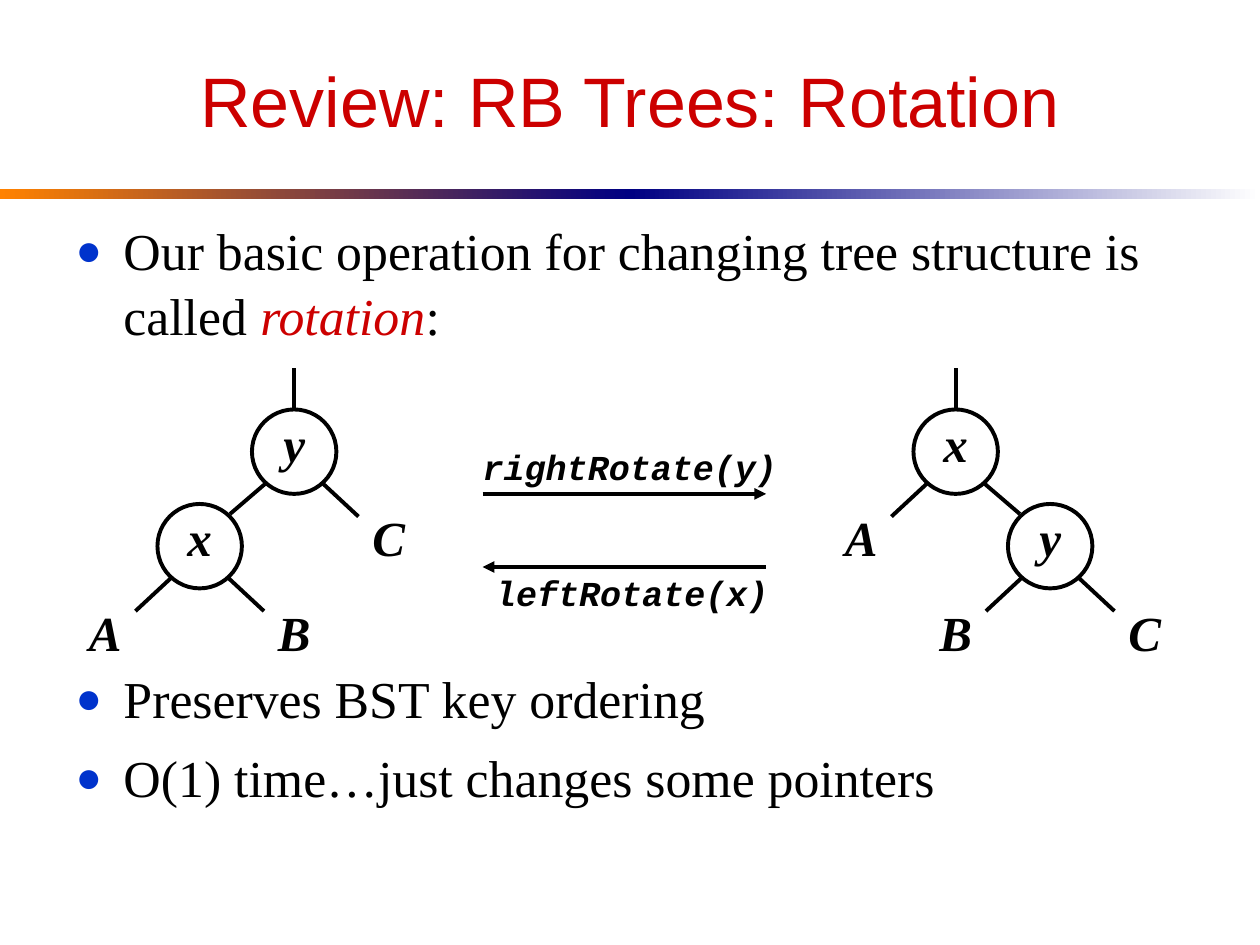
import pptx
import pptx.util
import pptx.dml.color
import pptx.enum.shapes
import pptx.enum.text
from lxml import etree
from pptx.util import Inches, Pt

SERIF = "Times New Roman"
BLACK, RED, BLUE = "000000", "CC0000", "0033CC"
NODE, STEP = 0.67, 0.75
CENTER = pptx.enum.text.PP_ALIGN.CENTER
MIDDLE = pptx.enum.text.MSO_ANCHOR.MIDDLE
STRAIGHT = pptx.enum.shapes.MSO_CONNECTOR.STRAIGHT


def rgb(color):
    return pptx.dml.color.RGBColor.from_string(color)


def add_run(paragraph, text, size, font, color=BLACK, bold=False, italic=False):
    run = paragraph.add_run()
    run.text = text
    run.font.size = Pt(size)
    run.font.name = font
    run.font.color.rgb = rgb(color)
    run.font.bold = bold
    run.font.italic = italic


prs = pptx.Presentation()
prs.slide_width, prs.slide_height = Inches(10), Inches(7.5)
slide = prs.slides.add_slide(prs.slide_layouts[1])
shapes = slide.shapes

# Two-part gradient rule under the title
for left, start, end in [(0, "FF8200", "000082"), (5, "000082", "FFFFFF")]:
    rule = shapes.add_shape(pptx.enum.shapes.MSO_SHAPE.RECTANGLE,
                            Inches(left), Inches(1.5), Inches(5), Inches(0.08))
    rule.shadow.inherit = False
    rule.line.fill.background()
    rule.fill.gradient()
    rule.fill.gradient_angle = 0
    for stop, color in zip(rule.fill.gradient_stops, (start, end)):
        stop.color.rgb = rgb(color)

title = shapes.title
title.left, title.top, title.width, title.height = map(Inches, (0.5, 0.25, 9, 1.08))
title.text_frame.auto_size = pptx.enum.text.MSO_AUTO_SIZE.NONE
title.text_frame.vertical_anchor = MIDDLE
heading = title.text_frame.paragraphs[0]
heading.alignment = CENTER
add_run(heading, "Review: RB Trees: Rotation", 40, "Arial", RED)

# Bullets; the second one leaves room above it for the trees
body = shapes.placeholders[1]
body.left, body.top, body.width, body.height = map(Inches, (0.5, 1.67, 9, 4.75))
body.text_frame.auto_size = pptx.enum.text.MSO_AUTO_SIZE.NONE
bullets = [
    (8, [("Our basic operation for changing tree structure is called ", False),
         ("rotation", True), (":", False)]),
    (182, [("Preserves BST key ordering", False)]),
    (8, [("O(1) time…just changes some pointers", False)]),
]
for i, (space, parts) in enumerate(bullets):
    bullet = body.text_frame.paragraphs[0] if i == 0 else body.text_frame.add_paragraph()
    bullet.space_before = Pt(space)
    bullet.line_spacing = 1.04
    for text, is_term in parts:
        add_run(bullet, text, 29.6, SERIF, RED if is_term else BLACK, italic=is_term)
    props = bullet._p.get_or_add_pPr()
    props.set("marL", str(Inches(0.38)))
    props.set("indent", str(-Inches(0.38)))
    marker_color = etree.SubElement(props, pptx.oxml.ns.qn("a:buClr"))
    etree.SubElement(marker_color, pptx.oxml.ns.qn("a:srgbClr"), val=BLUE)
    etree.SubElement(props, pptx.oxml.ns.qn("a:buSzPct"), val="85000")
    etree.SubElement(props, pptx.oxml.ns.qn("a:buChar"), char="●")

# Each node: label, column and row from the root, indexes of its children
trees = [
    (2, [("y", 0, 0, (1, 2)), ("x", -1, 1, (3, 4)), ("C", 1, 1, ()),
         ("A", -2, 2, ()), ("B", 0, 2, ())]),
    (7.25, [("x", 0, 0, (1, 2)), ("A", -1, 1, ()), ("y", 1, 1, (3, 4)),
            ("B", 0, 2, ()), ("C", 2, 2, ())]),
]
lines = []
for root_left, nodes in trees:
    for label, column, row, children in nodes:
        left, top = root_left + column * STEP, 3.25 + row * STEP
        node = shapes.add_shape(pptx.enum.shapes.MSO_SHAPE.OVAL, Inches(left),
                                Inches(top), Inches(NODE), Inches(NODE))
        node.shadow.inherit = False
        node.fill.solid()
        node.fill.fore_color.rgb = rgb("FFFFFF")
        if children:
            node.line.color.rgb = rgb(BLACK)
            node.line.width = Pt(2.25)
        else:
            node.line.fill.background()
        node.text_frame.word_wrap = False
        node.text_frame.vertical_anchor = MIDDLE
        name = node.text_frame.paragraphs[0]
        name.alignment = CENTER
        name.line_spacing = 0.6
        add_run(name, label, 28, SERIF, bold=True, italic=True)

        middle = left + NODE / 2
        if row == 0:
            lines.append((middle, top, middle, top - 0.33, None, node))
        for child in children:
            side = nodes[child][1] - column
            drop = 0.83 if nodes[child][3] else 0.85
            lines.append((middle + side * 0.23, top + 0.59,
                          middle + side * 0.51, top + drop, None, None))

# Rotation arrows and their labels
lines += [(3.83, 3.92, 6.08, 3.92, "tailEnd", None),
          (3.83, 4.5, 6.08, 4.5, "headEnd", None)]
for x1, y1, x2, y2, arrow_end, root in lines:
    line = shapes.add_connector(STRAIGHT, Inches(x1), Inches(y1), Inches(x2), Inches(y2))
    if root is not None:
        line.begin_connect(root, 0)
    line.line.color.rgb = rgb(BLACK)
    line.line.width = Pt(2.25)
    if arrow_end:
        etree.SubElement(line.line._get_or_add_ln(),
                         pptx.oxml.ns.qn("a:" + arrow_end), type="triangle")
    etree.SubElement(line._element.spPr, pptx.oxml.ns.qn("a:effectLst"))

for call, left, top, width in [("rightRotate(y)", 3.73, 3.48, 2.54),
                               ("leftRotate(x)", 3.83, 4.48, 2.37)]:
    caption = shapes.add_textbox(Inches(left), Inches(top), Inches(width), Inches(0.44))
    caption.text_frame.word_wrap = False
    caption.text_frame.vertical_anchor = MIDDLE
    caption.text_frame.paragraphs[0].alignment = CENTER
    add_run(caption.text_frame.paragraphs[0], call, 20, "Courier New", bold=True, italic=True)

prs.save("out.pptx")
